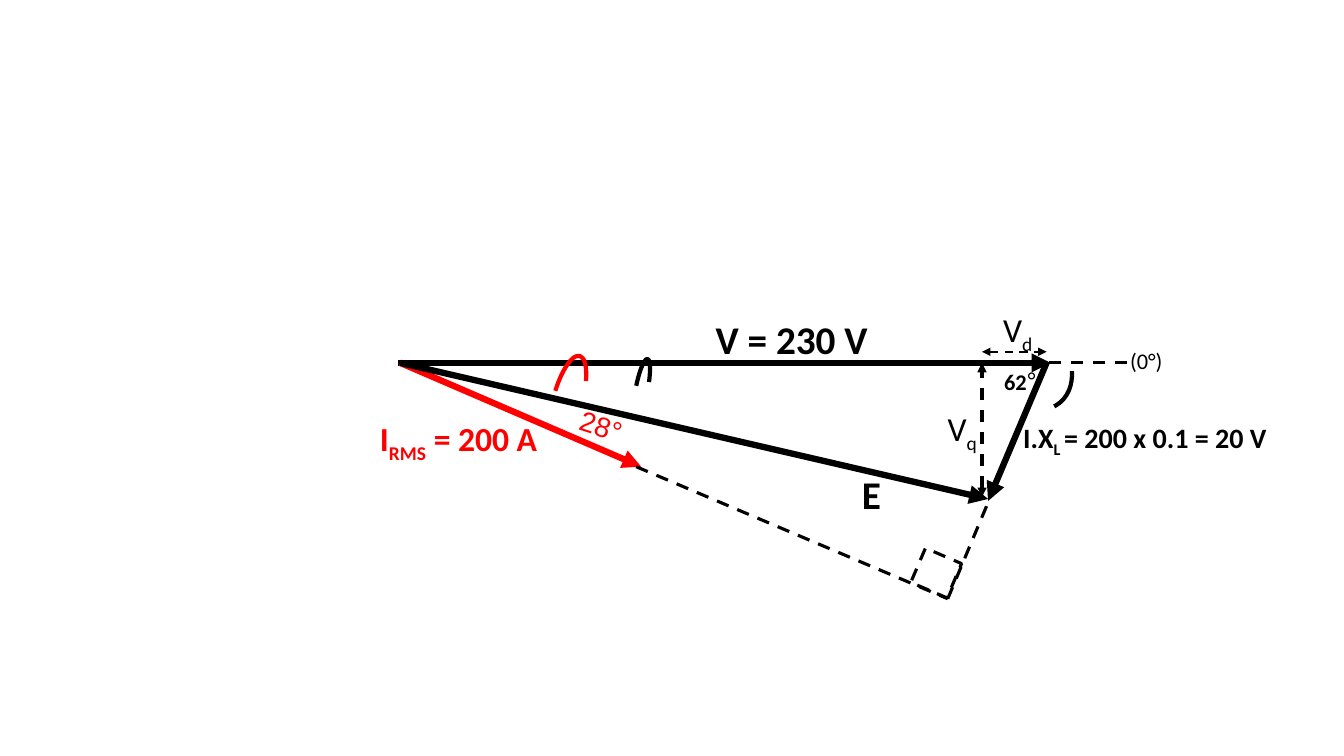
import pptx
import pptx.dml.color
import pptx.enum.dml
import pptx.enum.shapes
import pptx.enum.text
import pptx.oxml
import pptx.oxml.ns
import pptx.util

THEME = {
    "black": pptx.dml.color.RGBColor(0x00, 0x00, 0x00),
    "red": pptx.dml.color.RGBColor(0xFF, 0x00, 0x00),
    "text": "Calibri", "angle": "Arial",
    "huge": 28, "large": 24, "medium": 20, "degree": 18, "small": 16,
    "phasor": 4.5, "arc": 3, "guide": 2.25, "fine": 1.5,
}
DASH = pptx.enum.dml.MSO_LINE.DASH
SHAPES = pptx.enum.shapes.MSO_SHAPE

deck = pptx.Presentation()
deck.slide_width = pptx.util.Inches(13.33)
deck.slide_height = pptx.util.Inches(7.5)
page = deck.slides.add_slide(deck.slide_layouts[6])
COLUMN = deck.slide_width / 13.33
ROW = deck.slide_height / 7.5


def place(*cells):
    """Turn alternating column and row counts into slide lengths."""
    return [round(cell * (ROW if index % 2 else COLUMN)) for index, cell in enumerate(cells)]


def style_line(line, colour, weight, dash=None):
    line.color.rgb = THEME[colour]
    line.width = pptx.util.Pt(THEME[weight])
    if dash:
        line.dash_style = dash


# Corners of the phasor diagram, in columns and rows
AXIS = 3.6
ORIGIN = (3.97, AXIS)
V_TIP = (10.38, AXIS)
I_TIP = (6.36, 4.63)
E_TIP = (9.8, 4.95)
CORNER = (9.4, 5.94)
V_FOOT = 9.74

# start, end, colour, weight, dash, arrowheads
lines = [
    ((3.95, AXIS), (10.42, AXIS), "black", "phasor", None, ["tailEnd"]),
    (ORIGIN, I_TIP, "red", "phasor", None, ["tailEnd"]),
    ((6.31, 4.63), CORNER, "black", "guide", DASH, []),
    (CORNER, V_TIP, "black", "guide", DASH, []),
    (V_TIP, (9.8, 4.97), "black", "phasor", None, ["tailEnd"]),
    (ORIGIN, E_TIP, "black", "phasor", None, ["tailEnd"]),
    ((V_FOOT, 4.93), (V_FOOT, AXIS), "black", "guide", DASH, ["headEnd", "tailEnd"]),
    ((11.18, AXIS), (9.98, AXIS), "black", "guide", DASH, []),
    ((V_FOOT, 3.49), (10.38, 3.49), "black", "fine", DASH, ["headEnd", "tailEnd"]),
]
for start, end, colour, weight, dash, heads in lines:
    connector = page.shapes.add_connector(
        pptx.enum.shapes.MSO_CONNECTOR.STRAIGHT, *place(*start, *end))
    style_line(connector.line, colour, weight, dash)
    outline = connector.line._get_or_add_ln()
    for head in heads:
        arrow = pptx.oxml.parse_xml(f'<a:{head} {pptx.oxml.ns.nsdecls("a")} type="triangle"/>')
        outline.append(arrow)
    connector._element.spPr.append(
        pptx.oxml.parse_xml(f'<a:effectLst {pptx.oxml.ns.nsdecls("a")}/>'))

# preset, frame, rotation, arc angles in degrees, colour, weight, dash
marks = [
    (SHAPES.RECTANGLE, (9.09, 5.5, 0.39, 0.37), 23.2, (), "black", "guide", DASH),
    (SHAPES.ARC, (5.17, 3.83, 0.92, 0.29), 105.1, (113.29, 207.92), "red", "arc", None),
    (SHAPES.ARC, (6.06, 3.8, 0.61, 0.12), 100.8, (109.96, 215.15), "black", "arc", None),
    (SHAPES.ARC, (9.78, 3.26, 0.92, 0.73), 238.8, (129.27, 183.14), "black", "arc", None),
]
for preset, frame, rotation, angles, colour, weight, dash in marks:
    mark = page.shapes.add_shape(preset, *place(*frame))
    mark.shadow.inherit = False
    mark.fill.background()
    mark.rotation = rotation
    for index, angle in enumerate(angles):
        mark.adjustments[index] = angle * 0.6  # 60000 units per degree, stored per 100000
    style_line(mark.line, colour, weight, dash)

# frame, rotation, colour, then spans of text, size, font, bold, baseline
labels = [
    ((5.63, 4.16, 1.58, 0.44), 18.2, "red", [("28°", "medium", "angle", False, 0)]),
    ((7, 3.08, 2.14, 0.57), 0, "black", [("V = 230 V", "huge", "text", True, 0)]),
    ((10.05, 4.12, 3.45, 0.44), 0, "black", [
        ("I.X", "medium", "text", True, 0),
        ("L ", "medium", "text", True, -25),
        ("= 200 x 0.1 = 20 V", "medium", "text", True, 0)]),
    ((3.67, 4.1, 2.01, 0.5), 0, "red", [
        ("I", "large", "text", True, 0),
        ("RMS", "large", "text", True, -25),
        (" = 200 A", "large", "text", True, 0)]),
    ((8.45, 4.62, 0.43, 0.57), 0, "black", [("E", "huge", "text", True, 0)]),
    ((9.86, 3.58, 0.9, 0.4), 0, "black", [
        ("62", "small", "text", True, 0), ("°", "degree", "angle", False, 0)]),
    ((11.11, 3.39, 0.99, 0.37), 0, "black", [("(0°)", "small", "text", False, 0)]),
    ((9.3, 4, 0.6, 0.5), 0, "black", [
        ("V", "large", "text", False, 0), ("q", "large", "text", False, -25)]),
    ((9.85, 3.02, 0.64, 0.5), 0, "black", [
        ("V", "large", "text", False, 0), ("d", "large", "text", False, -25)]),
]
for frame, rotation, colour, spans in labels:
    box = page.shapes.add_textbox(*place(*frame))
    box.rotation = rotation
    box.text_frame.word_wrap = True
    box.text_frame.auto_size = pptx.enum.text.MSO_AUTO_SIZE.SHAPE_TO_FIT_TEXT
    para = box.text_frame.paragraphs[0]
    for text, size, font, bold, baseline in spans:
        span = para.add_run()
        span.text = text
        span.font.color.rgb = THEME[colour]
        formats = {"size": pptx.util.Pt(THEME[size]), "name": THEME[font], "bold": bold}
        for name, value in formats.items():
            setattr(span.font, name, value)
        if baseline:
            span._r.get_or_add_rPr().set("baseline", str(baseline * 1000))

deck.save("out.pptx")
